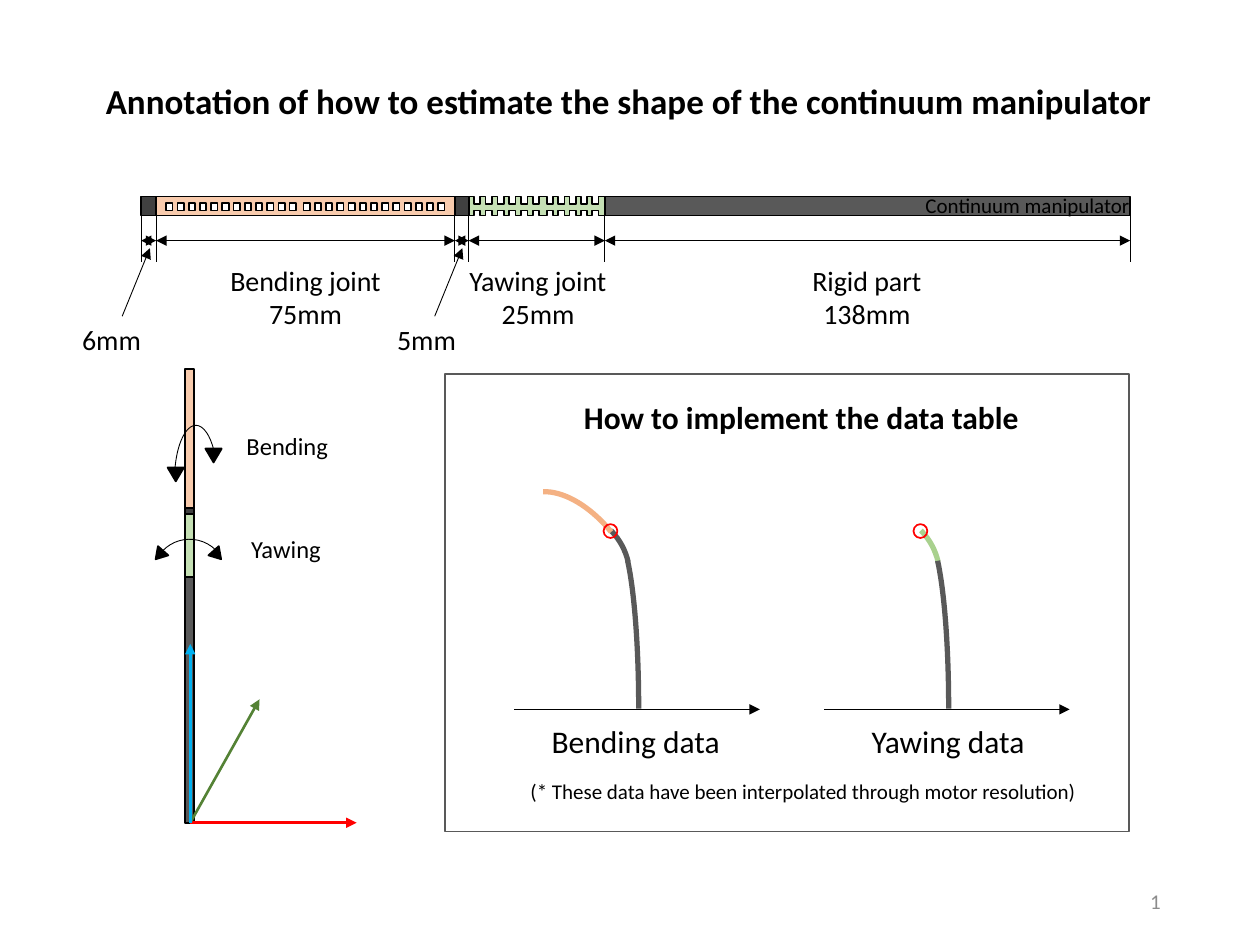
"""Build the slide that explains how the continuum manipulator's shape is estimated."""
import pptx
import pptx.util
import pptx.dml.color
import pptx.enum.shapes
import pptx.enum.text
import pptx.oxml
import pptx.oxml.ns

THEME = {
    "font": "Calibri",
    "ink": "000000", "muted": "8C8C8C", "rigid": "595959", "coupling": "404040",
    "bending": "F8CBAD", "yawing": "C5E0B4", "bend_curve": "F4B183", "yaw_curve": "A9D18E",
    "x_axis": "FF0000", "y_axis": "548235", "z_axis": "00B0F0", "marker": "FF0000",
    "title": 20, "heading": 18, "dimension": 16, "motion": 14, "note": 12,
    "hairline": 0.5, "outline": 1, "axis": 1.5, "curve": 3,
}

SLIDE = (10, 7.5)
BAR_EDGES = [1.12, 1.24, 3.61, 3.72, 4.8, 8.97]
BAR_TOP, BAR_BOTTOM = 1.56, 1.71
DIMENSION_Y, TICK_END = 1.91, 2.08
PLAIN_PARTS = {0: "coupling", 2: "coupling", 4: "rigid"}
HOLE_GROUPS = [(1.32, 12, 0.089), (2.41, 13, 0.089)]
NOTCH_GROUPS = [(3.76, 6, 0.094), (4.34, 5, 0.09)]
SLOT = 0.05

COLUMN_LEFT, COLUMN_WIDTH = 1.47, 0.07
COLUMN_EDGES = [2.93, 4.03, 4.08, 4.58, 6.53]
COLUMN_PARTS = ["bending", "coupling", "yawing", "rigid"]
ORIGIN = (1.51, 6.53)
AXES = [((2.83, 6.53), "x_axis"), ((2.06, 5.55), "y_axis"), ((1.51, 5.11), "z_axis")]
MOTION_ARCS = [((1.21, 4.28, 0.59, 0.59), 313.6, (270, 0)),
               ((1.12, 3.64, 0.87, 0.34), 270, (270, 31.27))]
MOTION_TIPS = [((1.21, 4.36, 0.11, 0.09), 221.5), ((1.67, 4.36, 0.11, 0.09), 138.5),
               ((1.33, 3.71, 0.13, 0.11), 180), ((1.63, 3.56, 0.13, 0.11), 180)]

PANEL = (3.53, 2.97, 5.43, 3.63)
PLOT_STEP = 2.46
PLOT_TIP_COLOURS = ["rigid", "yaw_curve"]
POINTERS = [0.97, 3.45]

LABELS = [
    (["Annotation of how to estimate the shape of the continuum manipulator"],
     (0.74, 0.58, 8.5, 0.44), "title", True),
    (["Bending joint", "75mm"], (1.72, 2.04, 1.41, 0.64), "dimension", False),
    (["Yawing joint", "25mm"], (3.62, 2.04, 1.3, 0.64), "dimension", False),
    (["Rigid part", "138mm"], (6.34, 2.04, 1.08, 0.64), "dimension", False),
    (["6mm"], (0.55, 2.51, 0.67, 0.37), "dimension", False),
    (["5mm"], (3.05, 2.51, 0.67, 0.37), "dimension", False),
    (["Bending"], (1.85, 3.37, 0.86, 0.34), "motion", False),
    (["Yawing"], (1.89, 4.19, 0.76, 0.34), "motion", False),
    (["Continuum manipulator"], (7.24, 1.48, 1.83, 0.3), "note", False),
    (["How to implement the data table"], (4.52, 3.11, 3.68, 0.4), "heading", True),
    (["Bending data"], (4.27, 5.68, 1.55, 0.4), "heading", False),
    (["Yawing data"], (6.81, 5.68, 1.43, 0.4), "heading", False),
    (["(* These data have been interpolated through motor resolution)"],
     (4.09, 6.13, 4.57, 0.3), "note", False),
]
PAGE_NUMBER = ("1", (7.06, 6.95, 2.25, 0.4))

KIND = pptx.enum.shapes.MSO_SHAPE
ALIGN = pptx.enum.text.PP_ALIGN
inch = pptx.util.Inches


def colour(name):
    return pptx.dml.color.RGBColor.from_string(THEME[name])


def style(shape, fill=None, line="ink", weight="outline"):
    shape.shadow.inherit = False
    if fill:
        shape.fill.solid()
        shape.fill.fore_color.rgb = colour(fill)
    else:
        shape.fill.background()
    shape.line.color.rgb = colour(line)
    shape.line.width = pptx.util.Pt(THEME[weight])


def draw(slide, kind, box, turn=0, angles=None, **look):
    shape = slide.shapes.add_shape(kind, *map(inch, box))
    shape.rotation = turn
    for i, angle in enumerate(angles or ()):
        shape.adjustments[i] = angle * 0.6
    style(shape, **look)


def draw_outline(slide, contours, fill):
    scaled = [[(inch(x), inch(y)) for x, y in contour] for contour in contours]
    builder = slide.shapes.build_freeform(*scaled[0][0], scale=1.0)
    builder.add_line_segments(scaled[0][1:], close=True)
    for contour in scaled[1:]:
        builder.move_to(*contour[0])
        builder.add_line_segments(contour[1:], close=True)
    style(builder.convert_to_shape(), fill)


def connect(slide, start, end, line="ink", weight="hairline", ends=()):
    straight = pptx.enum.shapes.MSO_CONNECTOR.STRAIGHT
    link = slide.shapes.add_connector(straight, *map(inch, (*start, *end)))
    link.line.color.rgb = colour(line)
    link.line.width = pptx.util.Pt(THEME[weight])
    properties = link._element.spPr
    outline = properties.find(pptx.oxml.ns.qn("a:ln"))
    for end_name in ends:
        outline.append(pptx.oxml.parse_xml(
            f'<a:{end_name} {pptx.oxml.ns.nsdecls("a")} type="triangle"/>'))
    properties.append(pptx.oxml.parse_xml(f'<a:effectLst {pptx.oxml.ns.nsdecls("a")}/>'))


def write(slide, lines, box, size, bold=False, ink="ink", align=ALIGN.CENTER, wrap=False):
    frame = slide.shapes.add_textbox(*map(inch, box)).text_frame
    frame.word_wrap = wrap
    if wrap:
        frame.vertical_anchor = pptx.enum.text.MSO_ANCHOR.MIDDLE
    else:
        frame.auto_size = pptx.enum.text.MSO_AUTO_SIZE.SHAPE_TO_FIT_TEXT
    for i, line in enumerate(lines):
        paragraph = frame.add_paragraph() if i else frame.paragraphs[0]
        paragraph.alignment = align
        run = paragraph.add_run()
        run.text = line
        run.font.name = THEME["font"]
        run.font.size = pptx.util.Pt(THEME[size])
        run.font.bold = bold
        run.font.color.rgb = colour(ink)


def slots(groups):
    return [first + i * step for first, count, step in groups for i in range(count)]


def rectangle(left, top, right, bottom):
    return [(left, top), (left, bottom), (right, bottom), (right, top)]


def notched_edge(left, right, y, inner):
    points = [(left, y)]
    for x in slots(NOTCH_GROUPS):
        points += [(x, y), (x, inner), (x + SLOT, inner), (x + SLOT, y)]
    return points + [(right, y)]


def draw_manipulator(slide):
    holes = [rectangle(x, 1.61, x + SLOT, 1.67) for x in slots(HOLE_GROUPS)]
    body = rectangle(BAR_EDGES[1], BAR_TOP, BAR_EDGES[2], BAR_BOTTOM)[::-1]
    draw_outline(slide, [body, *holes], "bending")
    upper = notched_edge(*BAR_EDGES[3:5], BAR_TOP, 1.62)
    lower = notched_edge(*BAR_EDGES[3:5], BAR_BOTTOM, 1.67)
    draw_outline(slide, [upper + lower[::-1]], "yawing")
    for i, (left, right) in enumerate(zip(BAR_EDGES, BAR_EDGES[1:])):
        if i in PLAIN_PARTS:
            draw(slide, KIND.RECTANGLE, (left, BAR_TOP, right - left, BAR_BOTTOM - BAR_TOP),
                 fill=PLAIN_PARTS[i])
        connect(slide, (left, DIMENSION_Y), (right, DIMENSION_Y), ends=("headEnd", "tailEnd"))
    for x in BAR_EDGES:
        connect(slide, (x, BAR_BOTTOM), (x, TICK_END))
    for x in POINTERS:
        connect(slide, (x, 2.51), (x + 0.22, 1.97), ends=("tailEnd",))


def draw_motions(slide):
    for part, top, bottom in zip(COLUMN_PARTS, COLUMN_EDGES, COLUMN_EDGES[1:]):
        draw(slide, KIND.RECTANGLE, (COLUMN_LEFT, top, COLUMN_WIDTH, bottom - top), fill=part)
    for tip, axis in AXES:
        connect(slide, ORIGIN, tip, axis, "axis", ("tailEnd",))
    for box, turn, angles in MOTION_ARCS:
        draw(slide, KIND.ARC, box, turn, angles, weight="hairline")
    for box, turn in MOTION_TIPS:
        draw(slide, KIND.ISOSCELES_TRIANGLE, box, turn, fill="ink")


def draw_data_panel(slide):
    for i, tip_colour in enumerate(PLOT_TIP_COLOURS):
        shift = i * PLOT_STEP
        draw(slide, KIND.ARC, (3.94 + shift, 4.05, 1.06, 1.06), 347, (328.79, 0),
             line=tip_colour, weight="curve")
        connect(slide, (4.08 + shift, 5.63), (6.03 + shift, 5.63), ends=("tailEnd",))
        draw(slide, KIND.ARC, (4.71 + shift, 4.26, 0.36, 2.73), 0, (274.48, 0),
             line="rigid", weight="curve")
    draw(slide, KIND.ARC, (4.22, 3.81, 0.71, 1.27), 321.1, (282.86, 0),
         line="bend_curve", weight="curve")
    for i in range(len(PLOT_TIP_COLOURS)):
        draw(slide, KIND.OVAL, (4.79 + i * PLOT_STEP, 4.16, 0.11, 0.11), line="marker")
    draw(slide, KIND.RECTANGLE, PANEL, line="rigid")


def main():
    deck = pptx.Presentation()
    deck.slide_width, deck.slide_height = map(inch, SLIDE)
    slide = deck.slides.add_slide(deck.slide_layouts[6])
    draw_manipulator(slide)
    draw_motions(slide)
    draw_data_panel(slide)
    for label in LABELS:
        write(slide, *label)
    number, box = PAGE_NUMBER
    write(slide, [number], box, "note", ink="muted", align=ALIGN.RIGHT, wrap=True)
    deck.save("out.pptx")


if __name__ == "__main__":
    main()
